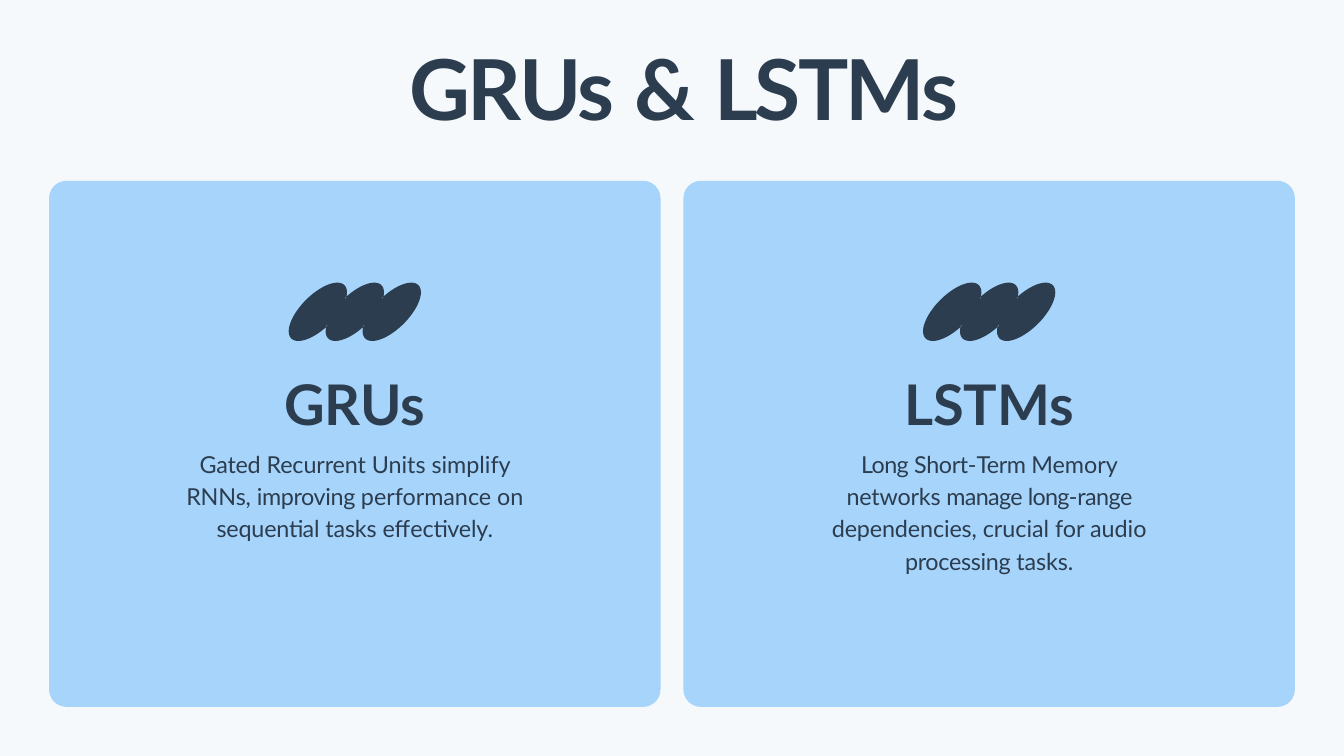
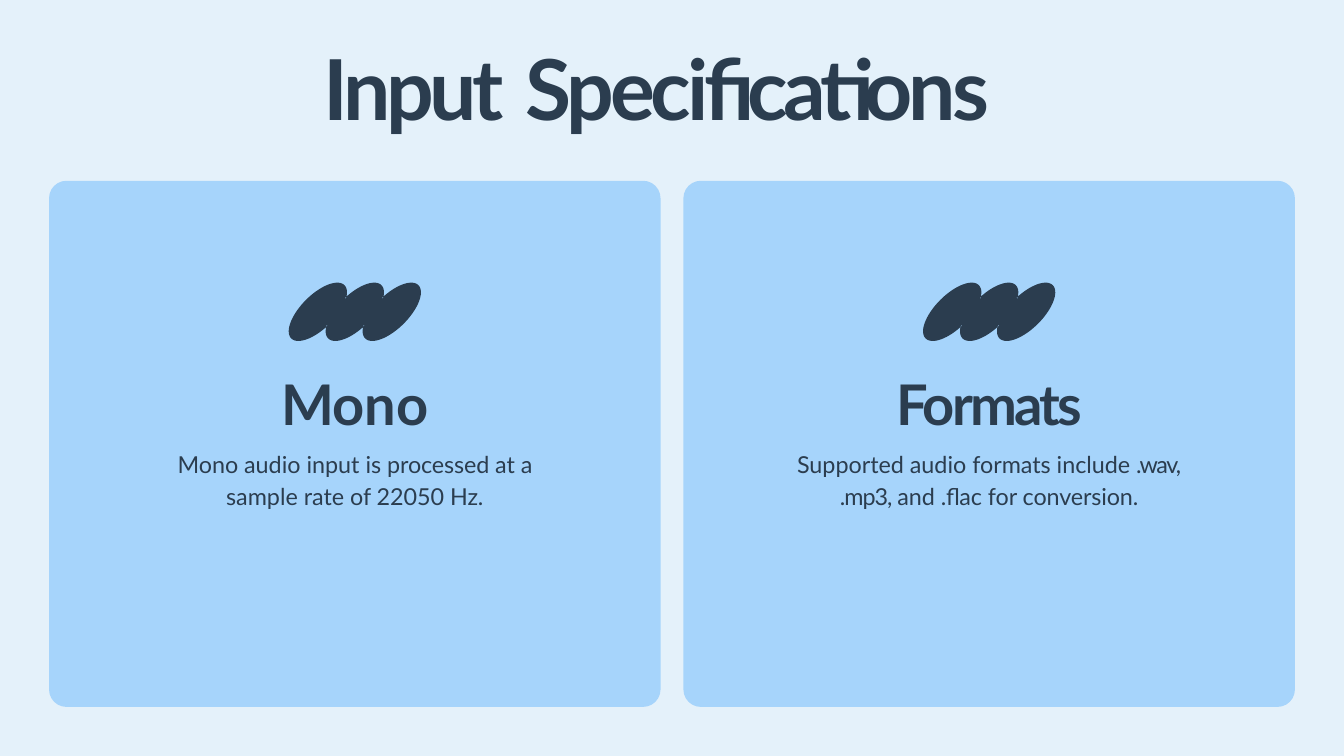
from math import cos, radians, sin, sqrt

from pptx import Presentation
from pptx.dml.color import RGBColor
from pptx.enum.shapes import MSO_SHAPE as SHAPE
from pptx.enum.text import MSO_AUTO_SIZE as AUTO, PP_ALIGN as ALIGN
from pptx.util import Pt

PX = 9144  # EMU per px, 100 px to the inch
SLIDE_W, SLIDE_H = 2000, 1125
COLORS = {"ink": "2B3D4F", "card": "A6D4FB", "mist": "F6F9FB", "sky": "E4F1FA"}
FONT = "Lato"

# Runs are (text, letter spacing in points).
# A body paragraph is (format, runs); a card's width is that of its text.
WRAPPED = {"space_before": Pt(10), "line_spacing": 1.15}
FIRST_LINE = {"space_before": Pt(14.5)}
NEXT_LINE = {"space_before": Pt(4.5)}

SLIDES = [
    {
        "background": "mist",
        "title": [("GRUs", -2.4), (" ", -0.7), ("& ", -2.2), ("LSTMs", -2.9)],
        "indent": 537,
        "cards": [
            {"width": 565, "height": 309, "heading": [("GRUs", -0.2)], "body": [
                (WRAPPED, [
                    ("Gated ", -0.2), ("Recurrent ", -0.1), ("Units simplify ", 0),
                    ("RNNs, ", -0.1), ("improving ", -0.4), ("performance on ", 0),
                    ("sequential ", -0.2), ("tasks effectively.", -0.1)])]},
            {"width": 520, "height": 309, "heading": [("LSTMs", -0.1)], "body": [
                (WRAPPED, [
                    ("Long ", -0.6), ("Short-", -0.4), ("Term ", -0.5), ("Memory ", 0),
                    ("networks ", -0.2), ("manage ", -0.7), ("long-", -0.8),
                    ("range ", -0.6), ("dependencies, ", -0.1),
                    ("crucial for audio ", 0), ("processing ", -0.3),
                    ("tasks.", -0.1)])]},
        ],
    },
    {
        "background": "sky",
        "title": [("Input", -4.8), (" ", 1.6), ("Specifications", -4.6)],
        "indent": 410,
        "cards": [
            {"width": 530, "height": 261, "heading": [("Mono", -0.2)], "body": [
                (WRAPPED, [
                    ("Mono audio input is ", 0), ("processed ", -0.1), ("at ", 0),
                    ("a ", -0.5), ("sample rate of 22050 ", 0), ("Hz.", -0.2)])]},
            {"width": 574, "height": 261, "heading": [("Formats", -3.1)], "body": [
                (FIRST_LINE, [("Supported audio formats include ", 0), (".wav,", -1.6)]),
                (NEXT_LINE, [(".mp3, ", -1.1), ("and ", 0), (".flac ", -0.2),
                             ("for ", 0), ("conversion.", -0.1)])]},
        ],
    },
]

MARGIN, GAP = 73, 34
CARD_TOP, CARD_H, CARD_RADIUS = 269, 783, 26
TEXT_TOP, ICON_MIDDLE = 500, 464

# The icon is the joint outline of three tilted ellipses:
# (ellipse index, start degree, end degree) of each visible arc.
LONG_RADIUS, SHORT_RADIUS, ELLIPSE_STEP = 56, 25, 55
ICON_ARCS = [(0, 95, 400), (1, 275, 400), (2, 275, 580), (1, 95, 220)]


def rgb(name):
    return RGBColor.from_string(COLORS[name])


def paint(s, color):
    s.shadow.inherit = False
    s.fill.solid()
    s.fill.fore_color.rgb = rgb(color)
    s.line.fill.background()


def add_box(slide, kind, color, *place):
    s = slide.shapes.add_shape(kind, *(int(v * PX) for v in place))
    paint(s, color)
    return s


def add_text_frame(slide, x, y, w, h, **margins):
    tf = slide.shapes.add_textbox(*(int(v * PX) for v in (x, y, w, h))).text_frame
    tf.word_wrap = True
    tf.auto_size = AUTO.SHAPE_TO_FIT_TEXT
    for side in ("left", "top", "right", "bottom"):
        setattr(tf, f"margin_{side}", margins.get(side, 0) * PX)
    return tf


def write(p, runs, size, bold, **formats):
    for name, value in formats.items():
        setattr(p, name, value)
    for text, spacing in runs:
        r = p.add_run()
        r.text = text
        for name, value in {"name": FONT, "size": Pt(size), "bold": bold}.items():
            setattr(r.font, name, value)
        r.font.color.rgb = rgb("ink")
        r._r.get_or_add_rPr().set("spc", str(round(spacing * 100)))


def add_icon(slide, center):
    points = []
    for index, start, end in ICON_ARCS:
        middle = center + (index - 1) * ELLIPSE_STEP
        for degree in range(start, end + 1, 5):
            u = LONG_RADIUS * cos(radians(degree))
            v = SHORT_RADIUS * sin(radians(degree))
            points.append((round((middle + (u + v) / sqrt(2)) * PX),
                           round((ICON_MIDDLE + (v - u) / sqrt(2)) * PX)))
    outline = slide.shapes.build_freeform(*points[0])
    outline.add_line_segments(points[1:], close=True)
    paint(outline.convert_to_shape(), "ink")


def add_card(slide, card, x, w):
    s = add_box(slide, SHAPE.ROUNDED_RECTANGLE, "card", x, CARD_TOP, w, CARD_H)
    s.adjustments[0] = CARD_RADIUS / min(w, CARD_H)
    center = x + w / 2
    add_icon(slide, center)
    tf = add_text_frame(slide, center - card["width"] / 2, TEXT_TOP,
                        card["width"], card["height"], top=50)
    write(tf.paragraphs[0], card["heading"], 60, True, alignment=ALIGN.CENTER)
    for formats, runs in card["body"]:
        write(tf.add_paragraph(), runs, 25, False, alignment=ALIGN.CENTER, **formats)


def add_slide(prs, content):
    slide = prs.slides.add_slide(prs.slide_layouts[6])
    add_box(slide, SHAPE.RECTANGLE, content["background"], 0, 0, SLIDE_W, SLIDE_H)
    tf = add_text_frame(slide, 72, -7, 1497, 213, left=content["indent"], top=61)
    write(tf.paragraphs[0], content["title"], 90, True)
    cards = content["cards"]
    w = (SLIDE_W - 2 * MARGIN - GAP * (len(cards) - 1)) // len(cards)
    for i, card in enumerate(cards):
        add_card(slide, card, MARGIN + i * (w + GAP), w)


def main():
    prs = Presentation()
    prs.slide_width, prs.slide_height = SLIDE_W * PX, SLIDE_H * PX
    for content in SLIDES:
        add_slide(prs, content)
    prs.save("out.pptx")


if __name__ == "__main__":
    main()
